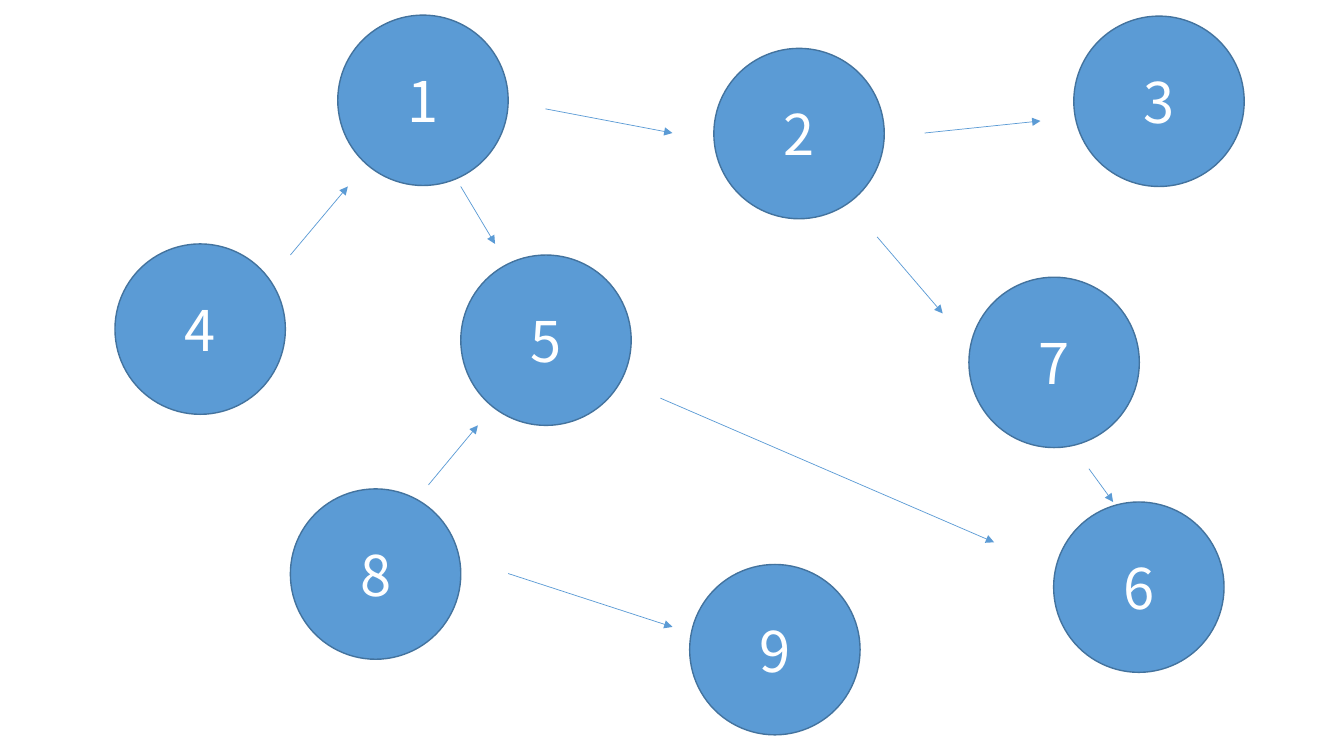
from pptx import Presentation
from pptx.dml.color import RGBColor
from pptx.enum.shapes import MSO_CONNECTOR, MSO_SHAPE
from pptx.enum.text import MSO_ANCHOR, PP_ALIGN
from pptx.oxml.ns import qn
from pptx.util import Inches, Pt
from lxml.etree import SubElement

NODES = {
    "4": (1.14, 2.42),
    "5": (4.57, 2.53),
    "2": (7.08, 0.48),
    "9": (6.84, 5.6),
    "8": (2.88, 4.85),
    "3": (10.65, 0.16),
    "1": (3.35, 0.15),
    "7": (9.61, 2.75),
    "6": (10.45, 4.98),
}
ARROWS = [
    ((2.88, 2.53), (3.45, 1.85)),
    ((4.57, 1.85), (4.91, 2.42)),
    ((5.41, 1.08), (6.67, 1.32)),
    ((8.7, 2.35), (9.35, 3.11)),
    ((9.17, 1.32), (10.32, 1.2)),
    ((10.8, 4.65), (11.04, 4.98)),
    ((4.25, 4.81), (4.74, 4.22)),
    ((5.04, 5.69), (6.67, 6.22)),
    ((6.55, 3.95), (9.86, 5.38)),
]
DIAMETER = Inches(1.69)
FONT = "Noto Sans CJK KR"
BLUE = RGBColor(0x5B, 0x9B, 0xD5)
OUTLINE = RGBColor(0x43, 0x73, 0x9E)
WHITE = RGBColor(0xFF, 0xFF, 0xFF)


def add_node(page, label, left, top):
    circle = page.shapes.add_shape(
        MSO_SHAPE.OVAL, Inches(left), Inches(top), DIAMETER, DIAMETER)
    circle.shadow.inherit = False
    circle.fill.solid()
    circle.fill.fore_color.rgb = BLUE
    circle.line.color.rgb = OUTLINE
    circle.line.width = Pt(1)
    frame = circle.text_frame
    frame.text = label
    frame.vertical_anchor = MSO_ANCHOR.MIDDLE
    para = frame.paragraphs[0]
    para.alignment = PP_ALIGN.CENTER
    font = para.runs[0].font
    font.name = FONT
    font.size = Pt(40)
    font.color.rgb = WHITE


def add_arrow(page, start, end):
    arrow = page.shapes.add_connector(
        MSO_CONNECTOR.STRAIGHT, *map(Inches, start + end))
    arrow.line.color.rgb = BLUE
    arrow.line.width = Pt(0.5)
    SubElement(arrow.line._get_or_add_ln(), qn("a:tailEnd"), type="triangle")
    SubElement(arrow._element.spPr, qn("a:effectLst"))


def main():
    deck = Presentation()
    deck.slide_width = Inches(13.33)
    deck.slide_height = Inches(7.5)
    page = deck.slides.add_slide(deck.slide_layouts[6])
    for label, (left, top) in NODES.items():
        add_node(page, label, left, top)
    for start, end in ARROWS:
        add_arrow(page, start, end)
    deck.save("out.pptx")


if __name__ == "__main__":
    main()
